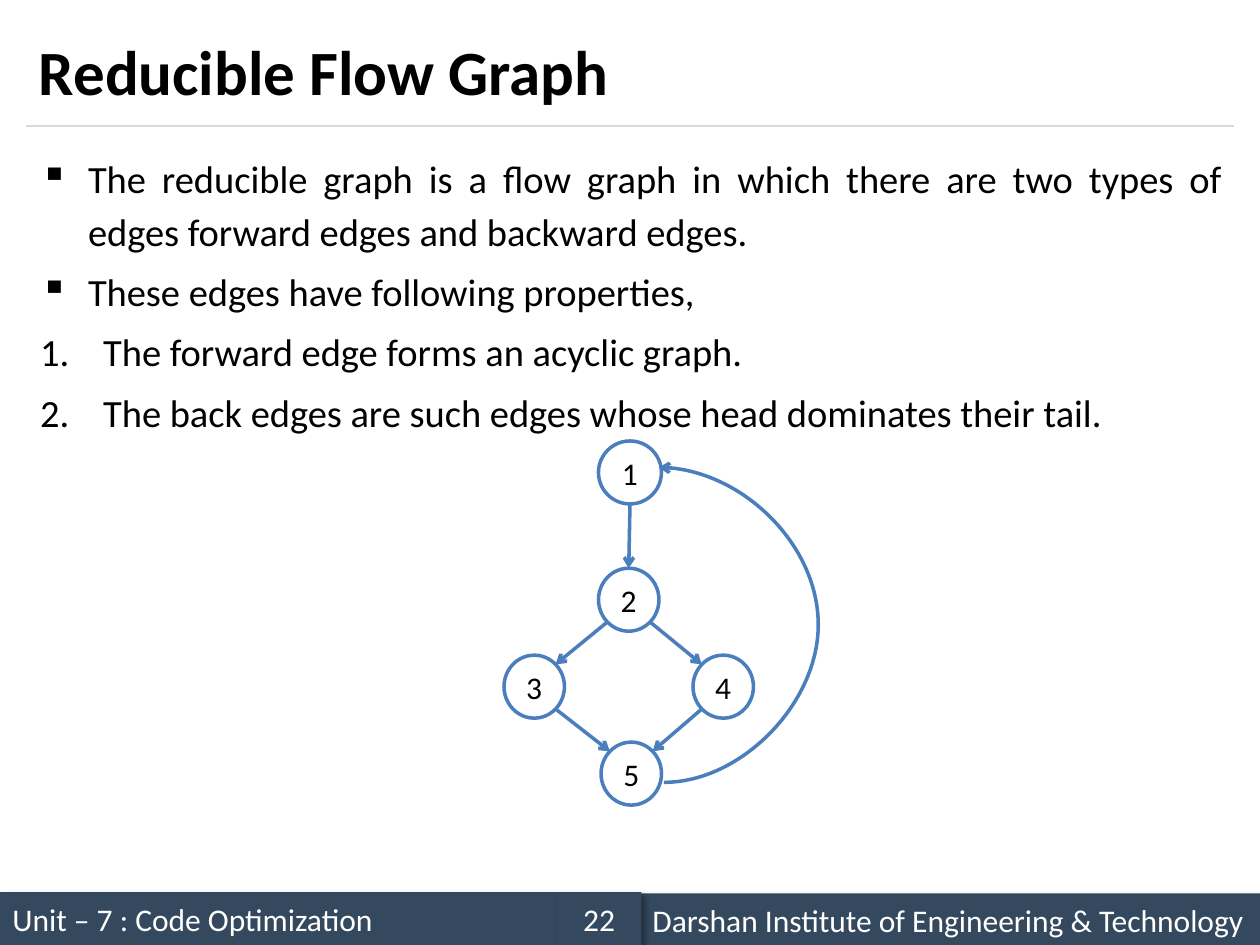
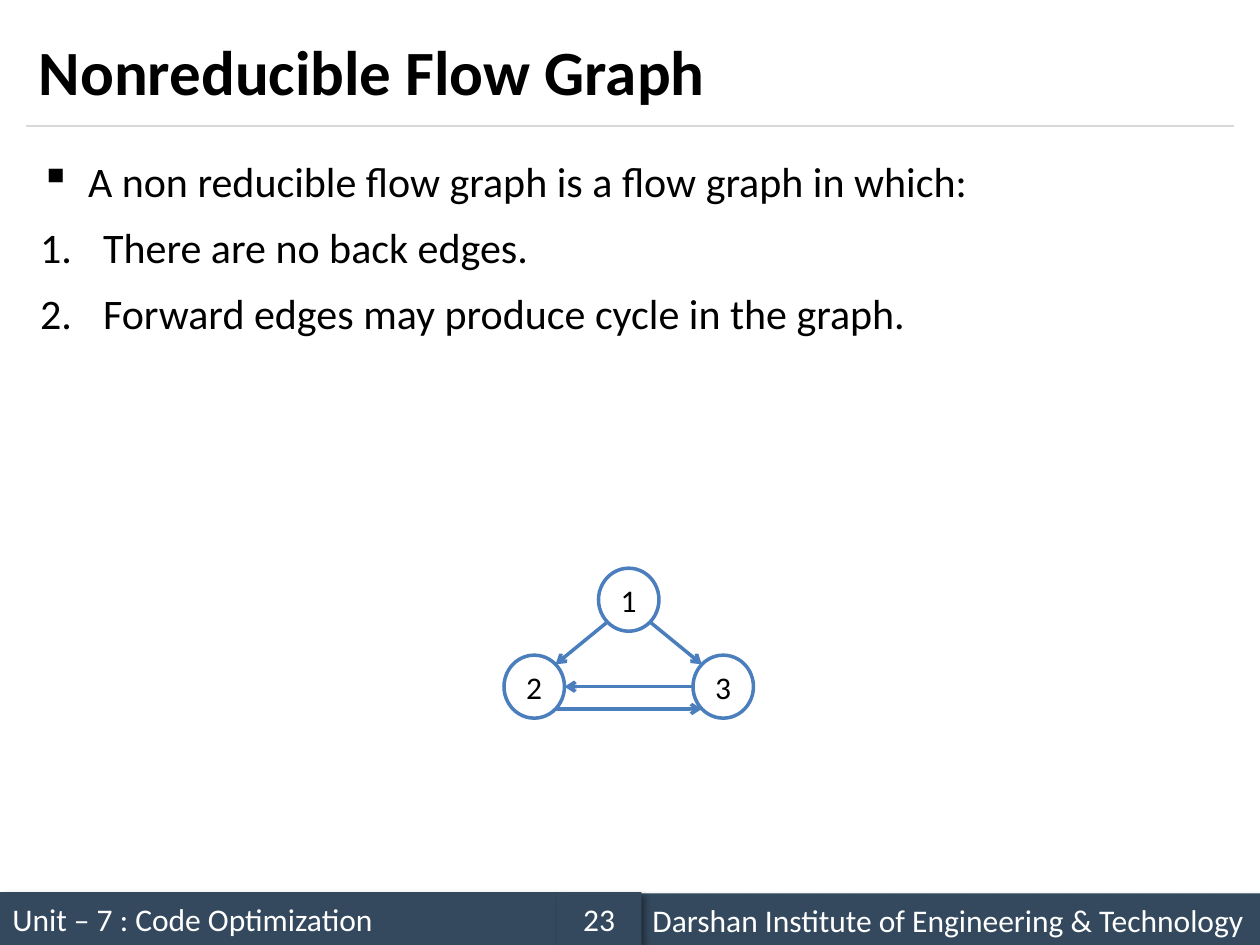
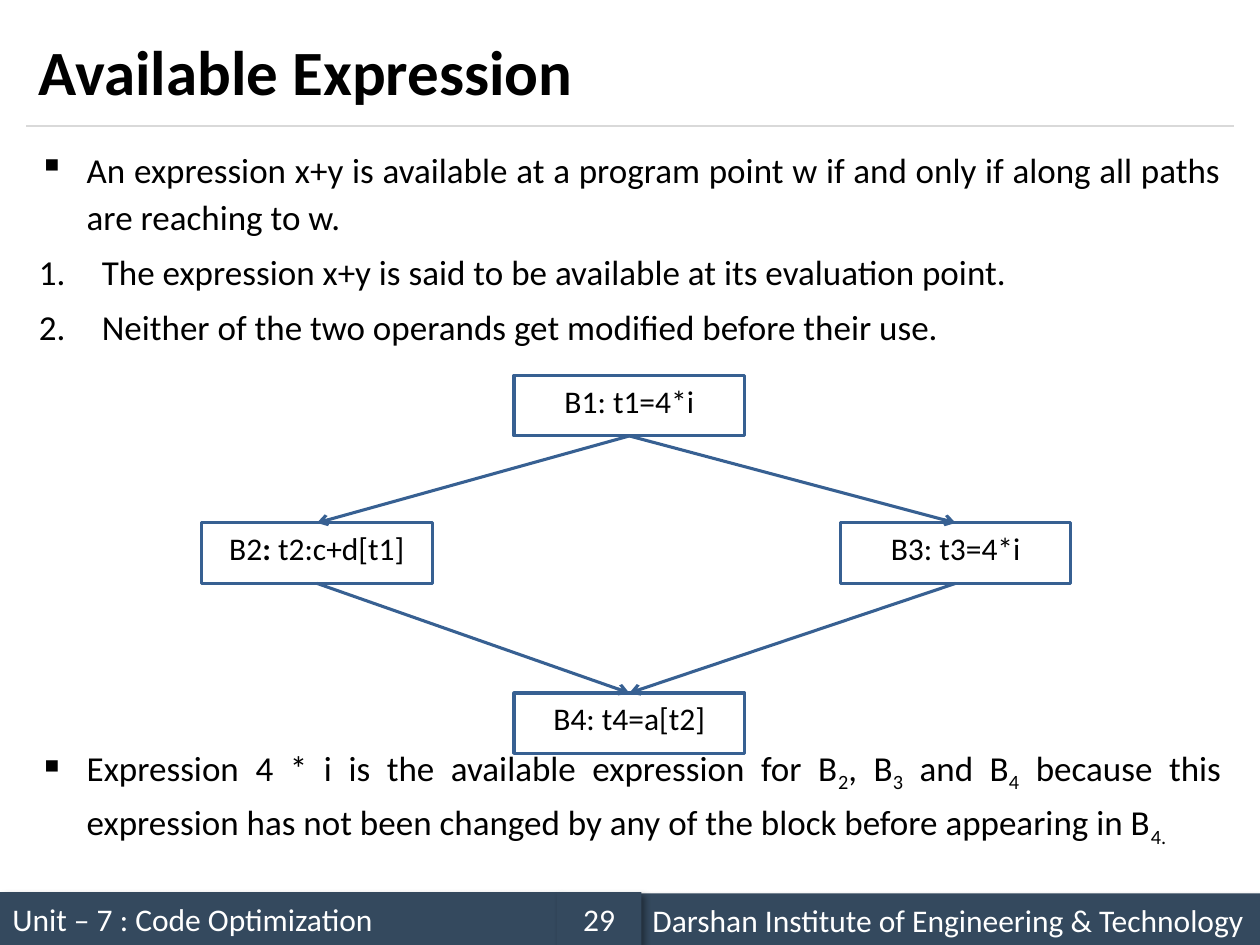
from math import sqrt

from lxml.etree import SubElement
from pptx import Presentation
from pptx.dml.color import RGBColor
from pptx.enum.shapes import MSO_CONNECTOR, MSO_SHAPE
from pptx.enum.text import MSO_ANCHOR, PP_ALIGN
from pptx.oxml.ns import qn
from pptx.util import Inches, Pt

COLORS = {
    "text": "000000",
    "band": "34495E",
    "band_text": "FFFFFF",
    "rule": "D9D9D9",
    "node": "4B7EBC",
    "block": "376092",
    "block_fill": "FFFFFF",
}
FONT = "Calibri"
UNIT = "Unit – 7 : Code Optimization"
INSTITUTE = "Darshan Institute of Engineering & Technology"
TOP, BOTTOM, LEFT, RIGHT = (0, -1), (0, 1), (-1, 0), (1, 0)
TOP_LEFT, TOP_RIGHT, BOTTOM_LEFT, BOTTOM_RIGHT = (-1, -1), (1, -1), (-1, 1), (1, 1)
SUBSCRIPT = {"baseline": "-25000"}


def color(name):
    return RGBColor.from_string(COLORS[name])


def apply(target, formats):
    for attribute, value in formats.items():
        setattr(target, attribute, value)


class Deck:
    def __init__(self):
        self.presentation = Presentation()
        apply(self.presentation, {"slide_width": Inches(10), "slide_height": Inches(7.5)})
        self.slide = None

    def start_slide(self, title, number):
        self.slide = self.presentation.slides.add_slide(self.presentation.slide_layouts[6])
        self.band(0, 7.08, 4.42, UNIT)
        self.line((Inches(0.21), Inches(1)), (Inches(9.79), Inches(1)), "rule", 0.75)
        self.band(5.08, 7.09, 4.92, INSTITUTE)
        self.band(4.42, 7.08, 0.67, str(number), PP_ALIGN.CENTER)
        frame = self.text_frame(0.21, 0.12, 9.58, 0.88)
        frame.vertical_anchor = MSO_ANCHOR.MIDDLE
        self.runs(frame.paragraphs[0], [(title, {"bold": True})], 36)

    def text_frame(self, left, top, width, height):
        box = self.slide.shapes.add_textbox(
            Inches(left), Inches(top), Inches(width), Inches(height)
        )
        box.text_frame.word_wrap = True
        return box.text_frame

    def runs(self, paragraph, parts, size, ink="text"):
        for text, formats in [(parts, {})] if isinstance(parts, str) else parts:
            run = paragraph.add_run()
            run.text = text
            apply(run.font, {"name": FONT, "size": Pt(size), "bold": formats.get("bold", False)})
            run.font.color.rgb = color(ink)
            if "baseline" in formats:
                run.font._element.set("baseline", formats["baseline"])

    def shape(self, preset, left, top, width, height, parts, ink="text",
              align=PP_ALIGN.CENTER, anchor=MSO_ANCHOR.MIDDLE):
        shape = self.slide.shapes.add_shape(
            preset, Inches(left), Inches(top), Inches(width), Inches(height)
        )
        shape.shadow.inherit = False
        apply(shape.text_frame, {"word_wrap": True, "vertical_anchor": anchor})
        paragraph = shape.text_frame.paragraphs[0]
        paragraph.alignment = align
        self.runs(paragraph, parts, 18, ink)
        return shape

    def band(self, left, top, width, text, align=PP_ALIGN.LEFT):
        band = self.shape(MSO_SHAPE.RECTANGLE, left, top, width, 0.42, text, "band_text", align)
        band.fill.solid()
        band.fill.fore_color.rgb = color("band")
        band.line.fill.background()
        effects = band._element.spPr.find(qn("a:effectLst"))
        shadow = SubElement(
            effects, qn("a:outerShdw"), blurRad=str(Pt(4)), dist=str(Pt(3)),
            dir="2700000", algn="tl", rotWithShape="0",
        )
        tint = SubElement(shadow, qn("a:srgbClr"), val="000000")
        SubElement(tint, qn("a:alpha"), val="40000")

    def body(self, top, height, items, size, left=0.22):
        frame = self.text_frame(left, top, 9.58, height)
        for index, (kind, parts) in enumerate(items):
            paragraph = frame.add_paragraph() if index else frame.paragraphs[0]
            apply(paragraph, {
                "alignment": PP_ALIGN.JUSTIFY,
                "line_spacing": 1.14,
                "space_before": Pt(0.2 * size if index else 0),
            })
            properties = paragraph._p.get_or_add_pPr()
            indent = Inches(0.38 if kind == "bullet" else 0.5)
            properties.set("marL", str(indent))
            properties.set("indent", str(-indent))
            if kind == "bullet":
                SubElement(properties, qn("a:buChar"), char="▪")
            else:
                SubElement(properties, qn("a:buAutoNum"), type="arabicPeriod")
            self.runs(paragraph, parts, size)

    def node(self, left, top, label, width=0.48):
        node = self.shape(MSO_SHAPE.OVAL, left, top, width, 0.5, label)
        node.fill.background()
        node.line.color.rgb = color("node")
        node.line.width = Pt(2)
        apply(node.text_frame, {"margin_left": 0, "margin_right": 0})
        return node

    def block(self, left, top, parts):
        block = self.shape(
            MSO_SHAPE.RECTANGLE, left, top, 1.83, 0.48, parts, anchor=MSO_ANCHOR.TOP
        )
        block.fill.solid()
        block.fill.fore_color.rgb = color("block_fill")
        block.line.color.rgb = color("block")
        block.line.width = Pt(1.75)
        return block

    def line(self, start, end, ink, width, arrow=False, route=MSO_CONNECTOR.STRAIGHT):
        line = self.slide.shapes.add_connector(route, *start, *end)
        line.line.color.rgb = color(ink)
        line.line.width = Pt(width)
        if arrow:
            SubElement(line.line._get_or_add_ln(), qn("a:tailEnd"), type="arrow")
        SubElement(line._element.spPr, qn("a:effectLst"))
        return line

    def site(self, shape, side):
        across, down = side
        reach = 1 / sqrt(2) if across and down else 1
        return (
            int(shape.left + shape.width / 2 * (1 + across * reach)),
            int(shape.top + shape.height / 2 * (1 + down * reach)),
        )

    def edge(self, source, source_side, target, target_side, ink="node", width=2):
        self.line(
            self.site(source, source_side), self.site(target, target_side), ink, width, arrow=True
        )

    def back_edge(self, start, end, bulge):
        curve = self.line(
            [Inches(value) for value in start], [Inches(value) for value in end],
            "node", 2, arrow=True, route=MSO_CONNECTOR.CURVE,
        )
        ratio = (start[0] - bulge) / (start[0] - end[0])
        adjustments = curve._element.spPr.find(qn("a:prstGeom")).find(qn("a:avLst"))
        SubElement(
            adjustments, qn("a:gd"), name="adj1", fmla=f"val {round(ratio * 100000)}"
        )


def reducible_graph(deck):
    deck.start_slide("Reducible Flow Graph", 22)
    deck.body(1.13, 5.83, [
        ("bullet", "The reducible graph is a flow graph in which there are two types of "
                   "edges forward edges and backward edges."),
        ("bullet", "These edges have following properties,"),
        ("number", "The forward edge forms an acyclic graph."),
        ("number", "The back edges are such edges whose head dominates their tail."),
    ], 22)
    entry = deck.node(4.75, 3.5, "1", 0.5)
    fork = deck.node(4.75, 4.51, "2")
    left_branch = deck.node(4, 5.2, "3")
    right_branch = deck.node(5.5, 5.2, "4")
    join = deck.node(4.77, 5.89, "5")
    deck.edge(entry, BOTTOM, fork, TOP)
    deck.edge(fork, BOTTOM_LEFT, left_branch, TOP_RIGHT)
    deck.edge(fork, BOTTOM_RIGHT, right_branch, TOP_LEFT)
    deck.edge(left_branch, BOTTOM_RIGHT, join, TOP_LEFT)
    deck.edge(right_branch, BOTTOM_LEFT, join, TOP_RIGHT)
    deck.back_edge((5.27, 6.21), (5.23, 3.71), 6.49)


def nonreducible_graph(deck):
    deck.start_slide("Nonreducible Flow Graph", 23)
    deck.body(1.13, 5.83, [
        ("bullet", "A non reducible flow graph is a flow graph in which:"),
        ("number", "There are no back edges."),
        ("number", "Forward edges may produce cycle in the graph."),
    ], 24)
    entry = deck.node(4.75, 4.51, "1")
    left_branch = deck.node(4, 5.2, "2")
    right_branch = deck.node(5.5, 5.2, "3")
    deck.edge(entry, BOTTOM_LEFT, left_branch, TOP_RIGHT)
    deck.edge(entry, BOTTOM_RIGHT, right_branch, TOP_LEFT)
    deck.edge(right_branch, LEFT, left_branch, RIGHT)
    deck.edge(left_branch, BOTTOM_RIGHT, right_branch, BOTTOM_LEFT)


def available_expression(deck):
    deck.start_slide("Available Expression", 29)
    deck.body(1.08, 1.8, [
        ("bullet", "An expression x+y is available at a program point w if and only if "
                   "along all paths are reaching to w."),
        ("number", "The expression x+y is said to be available at its evaluation point."),
        ("number", "Neither of the two operands get modified before their use."),
    ], 20, 0.21)
    deck.body(5.82, 1.09, [
        ("bullet", [
            ("Expression 4 * i is the available expression for B", {}), ("2", SUBSCRIPT),
            (", B", {}), ("3", SUBSCRIPT), (" and B", {}), ("4", SUBSCRIPT),
            (" because this expression has not been changed by any of the block "
             "before appearing in B", {}),
            ("4.", SUBSCRIPT),
        ]),
    ], 20, 0.21)
    entry = deck.block(4.08, 2.98, "B1: t1=4*i")
    left_branch = deck.block(1.6, 4.15, [("B2", {}), (":", {"bold": True}), (" t2:c+d[t1]", {})])
    right_branch = deck.block(6.67, 4.15, "B3: t3=4*i")
    join = deck.block(4.08, 5.5, "B4: t4=a[t2]")
    for branch in (left_branch, right_branch):
        deck.edge(entry, BOTTOM, branch, TOP, "block", 1.75)
        deck.edge(branch, BOTTOM, join, TOP, "block", 1.75)


def main():
    deck = Deck()
    reducible_graph(deck)
    nonreducible_graph(deck)
    available_expression(deck)
    deck.presentation.save("out.pptx")


if __name__ == "__main__":
    main()
